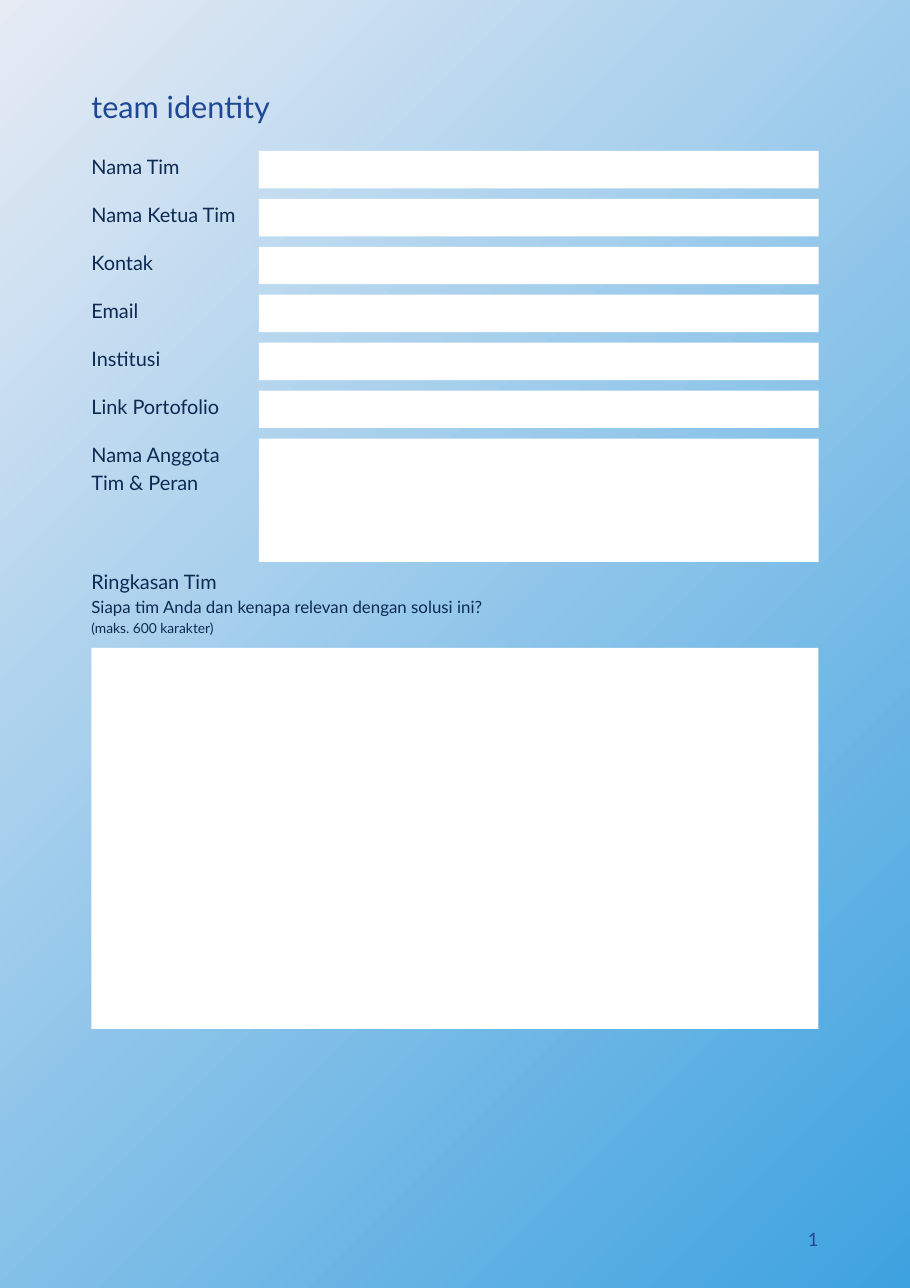
from pptx import Presentation
from pptx.dml.color import RGBColor
from pptx.enum import shapes, text
from pptx.util import Inches, Pt

NAVY = RGBColor(0x0C, 0x2A, 0x52)
BLUE = RGBColor(0x1F, 0x48, 0x94)
WHITE = RGBColor(0xFF, 0xFF, 0xFF)
PALE = RGBColor(0xE6, 0xEB, 0xF4)
SKY = RGBColor(0x3E, 0xA2, 0xE0)

FONT = "Lato"
LINE_RATIO = 1.4
LABEL_SIZE = 13
LABEL_WIDTH = 1.42
FIELD_INDENT = 1.52
FIELD_HEIGHT = 0.34
ROW_PITCH = 0.435
FIELDS = ["Nama Tim", "Nama Ketua Tim", "Kontak", "Email", "Institusi",
          "Link Portofolio", "Nama Anggota Tim & Peran"]
SUMMARY = [("Ringkasan Tim", LABEL_SIZE),
           ("Siapa tim Anda dan kenapa relevan dengan solusi ini?", 11),
           ("(maks. 600 karakter)", 9)]


def add_lines(slide, left, top, width, height, lines, color,
              align=text.PP_ALIGN.LEFT):
    box = slide.shapes.add_textbox(
        Inches(left), Inches(top), Inches(width), Inches(height))
    frame = box.text_frame
    frame.word_wrap = True
    frame.margin_left = frame.margin_right = 0
    frame.margin_top = frame.margin_bottom = 0
    for index, (words, size) in enumerate(lines):
        paragraph = frame.add_paragraph() if index else frame.paragraphs[0]
        paragraph.alignment = align
        paragraph.line_spacing = Pt(size * LINE_RATIO)
        run = paragraph.add_run()
        run.text = words
        run.font.name = FONT
        run.font.size = Pt(size)
        run.font.color.rgb = color


def add_field(slide, left, top, width, height):
    field = slide.shapes.add_shape(
        shapes.MSO_SHAPE.RECTANGLE,
        Inches(left), Inches(top), Inches(width), Inches(height))
    field.shadow.inherit = False
    field.fill.solid()
    field.fill.fore_color.rgb = WHITE
    field.line.fill.background()


def paint_background(slide):
    fill = slide.background.fill
    fill.gradient()
    fill.gradient_angle = 315
    for stop, color in zip(fill.gradient_stops, (PALE, SKY)):
        stop.color.rgb = color


def add_identity_form(slide, left, top, width, height):
    last = len(FIELDS) - 1
    for row, label in enumerate(FIELDS):
        offset = row * ROW_PITCH
        field_height = height - offset if row == last else FIELD_HEIGHT
        label_height = 0.53 if row == last else 0.28
        add_lines(slide, left, top + offset, LABEL_WIDTH, label_height,
                  [(label, LABEL_SIZE)], NAVY)
        add_field(slide, left + FIELD_INDENT, top + offset,
                  width - FIELD_INDENT, field_height)


def add_summary(slide, left, top, width, height):
    heading_height = 0.75
    add_lines(slide, left, top, width, 0.66, SUMMARY, NAVY)
    add_field(slide, left, top + heading_height, width,
              height - heading_height)


def main():
    deck = Presentation()
    deck.slide_width = Inches(8.26)
    deck.slide_height = Inches(11.69)
    slide = deck.slides.add_slide(deck.slide_layouts[6])
    left, width = 0.83, 6.6
    paint_background(slide)
    add_lines(slide, left, 0.74, width, 0.41, [("team identity", 20)], BLUE)
    add_identity_form(slide, left, 1.37, width, 3.73)
    add_summary(slide, left, 5.13, width, 4.21)
    add_lines(slide, left, 11.11, width, 0.23, [("1", 12)], BLUE,
              text.PP_ALIGN.RIGHT)
    deck.save("out.pptx")


if __name__ == "__main__":
    main()
